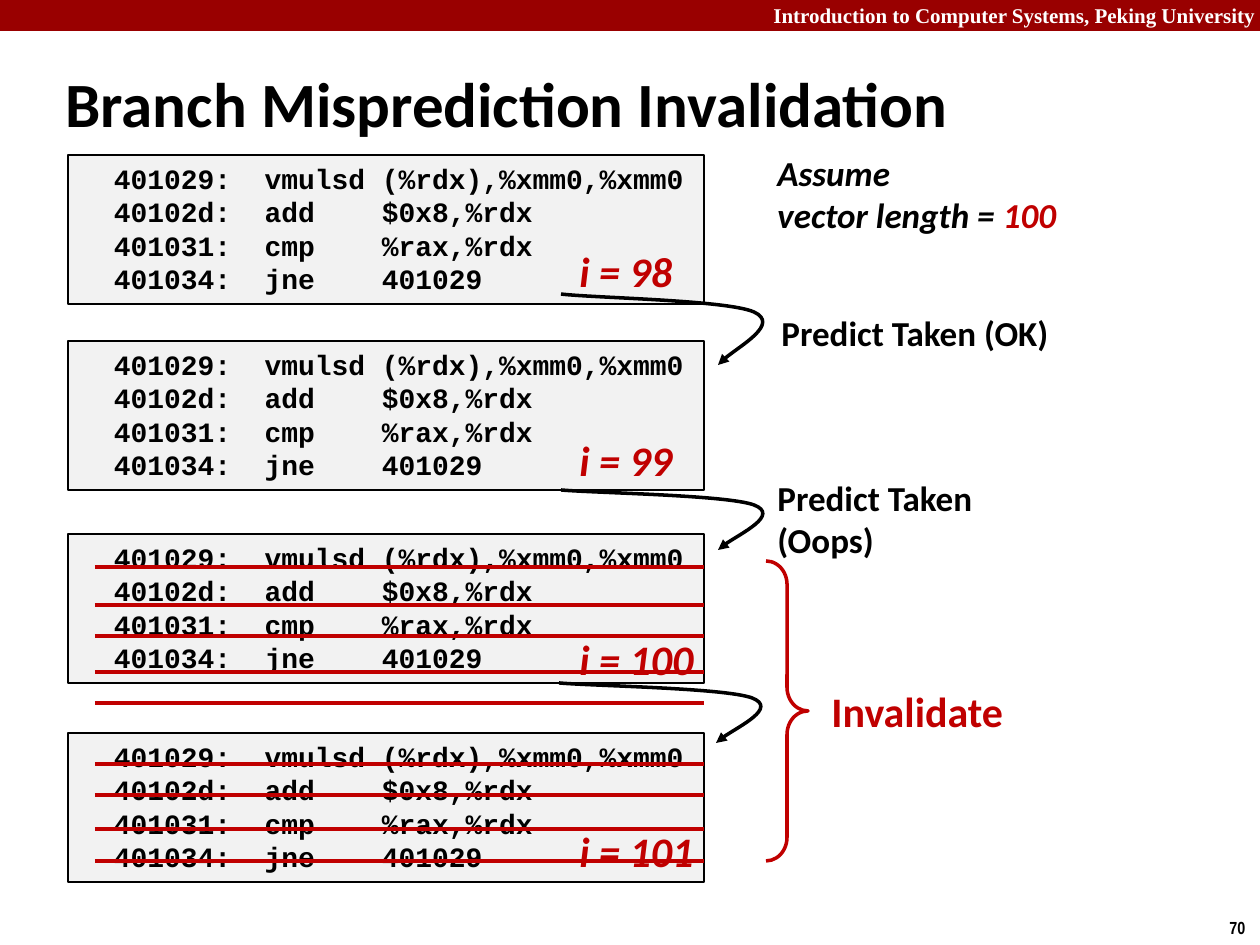
import pptx
import pptx.dml.color
import pptx.enum.shapes
import pptx.enum.text
import pptx.oxml.ns
import pptx.util
from lxml import etree

PX = 7257.14  # EMU in one px (126 px to the inch)
RED, BLACK, WHITE = "C00000", "000000", "FFFFFF"
CODE = (
    "  401029:  vmulsd (%rdx),%xmm0,%xmm0\n"
    "  40102d:  add    $0x8,%rdx\n"
    "  401031:  cmp    %rax,%rdx\n"
    "  401034:  jne    401029"
)
CODE_LEFT, CODE_WIDTH, CODE_HEIGHT = 68, 636, 149
# Each iteration: top of its code, label, top of its label
ITERATIONS = [
    (155, "i = 98", 239),
    (341, "i = 99", 428),
    (534, "i = 100", 627),
    (733, "i = 101", 819),
]
# Each jump to the next iteration: start x, start y, drop
JUMPS = [(561, 294, 71), (561, 490, 60), (559, 683, 60)]
# Start and Bezier points of a jump: px across, share of the drop down
JUMP_CURVE = [(0, 0), (33, 0.05), (166, 0.08), (193, 0.25),
              (219, 0.42), (165, 0.85), (157, 1)]
STRIKE_ROWS = [567, 605, 636, 672, 703, 764, 795, 829, 861]


def px(length):
    return pptx.util.Emu(round(length * PX))


def rgb(value):
    return pptx.dml.color.RGBColor.from_string(value)


def set_text(frame, text, size, color=BLACK, font="Calibri", italic=False):
    frame.text = text
    for paragraph in frame.paragraphs:
        paragraph.alignment = pptx.enum.text.PP_ALIGN.LEFT
        for run in paragraph.runs:
            run.font.size = pptx.util.Pt(size)
            run.font.name = font
            run.font.bold = True
            run.font.italic = italic
            run.font.color.rgb = rgb(color)


def add_label(slide, box, text, size, color=BLACK, **style):
    label = slide.shapes.add_textbox(*map(px, box))
    label.text_frame.word_wrap = False
    set_text(label.text_frame, text, size, color, **style)
    return label.text_frame


def add_box(slide, box, fill, line=None):
    shape = slide.shapes.add_shape(
        pptx.enum.shapes.MSO_SHAPE.RECTANGLE, *map(px, box))
    shape.shadow.inherit = False
    shape.fill.solid()
    shape.fill.fore_color.rgb = rgb(fill)
    if line:
        set_line(shape, line, 0.75)
    else:
        shape.line.fill.background()
    return shape


def set_line(shape, color, width=2):
    shape.line.color.rgb = rgb(color)
    shape.line.width = pptx.util.Pt(width)


def add_code(slide, top):
    listing = add_box(slide, (CODE_LEFT, top, CODE_WIDTH, CODE_HEIGHT),
                      "F2F2F2", BLACK)
    frame = listing.text_frame
    frame.vertical_anchor = pptx.enum.text.MSO_ANCHOR.TOP
    set_text(frame, CODE, 16, font="Courier New")
    for paragraph in frame.paragraphs:
        paragraph.line_spacing = pptx.util.Pt(19.2)


def add_jump(slide, x, y, drop):
    points = [(x + across, y + share * drop) for across, share in JUMP_CURVE]
    builder = slide.shapes.build_freeform(*points[0], scale=PX)
    builder.add_line_segments(points[1:], close=False)
    jump = builder.convert_to_shape()
    jump.shadow.inherit = False
    jump.fill.background()
    set_line(jump, BLACK)

    # Join every three straight segments into one Bezier curve
    qn = pptx.oxml.ns.qn
    segments = list(jump.element.iter(qn("a:lnTo")))
    outline = segments[0].getparent()
    for start in range(0, len(segments), 3):
        curve = etree.SubElement(outline, qn("a:cubicBezTo"))
        for segment in segments[start:start + 3]:
            curve.append(segment[0])
            outline.remove(segment)
    etree.SubElement(jump.line._get_or_add_ln(), qn("a:tailEnd"),
                     type="triangle")


def add_strike(slide, y):
    strike = slide.shapes.add_connector(
        pptx.enum.shapes.MSO_CONNECTOR.STRAIGHT,
        px(95), px(y), px(CODE_LEFT + CODE_WIDTH), px(y))
    set_line(strike, RED)
    etree.SubElement(strike.element.spPr, pptx.oxml.ns.qn("a:effectLst"))


def add_brace(slide, box):
    brace = slide.shapes.add_shape(
        pptx.enum.shapes.MSO_SHAPE.RIGHT_BRACE, *map(px, box))
    brace.shadow.inherit = False
    brace.adjustments[0] = 0.56
    brace.adjustments[1] = 0.5
    brace.fill.background()
    set_line(brace, RED)


def add_title(slide, box, text):
    title = slide.shapes.title
    title.left, title.top, title.width, title.height = map(px, box)
    title.text_frame.vertical_anchor = pptx.enum.text.MSO_ANCHOR.MIDDLE
    set_text(title.text_frame, text, 36)


def main():
    deck = pptx.Presentation()
    deck.slide_width, deck.slide_height = px(1260), px(945)
    slide = deck.slides.add_slide(deck.slide_layouts[5])

    # Header band, title and page number
    add_box(slide, (0, 0, 1260, 31), "990000")
    course = add_label(slide, (756, -4, 512, 38),
                       "Introduction to Computer Systems, Peking University",
                       12, WHITE, font="Times New Roman")
    course.word_wrap = True
    course.paragraphs[0].alignment = pptx.enum.text.PP_ALIGN.RIGHT
    add_title(slide, (53, 63, 1095, 79), "Branch Misprediction Invalidation")
    add_label(slide, (1217, 911, 43, 34), "70", 10, font="Arial Narrow")

    # Loop iterations and the jumps between them
    for code_top, _, _ in ITERATIONS:
        add_code(slide, code_top)
    for jump in JUMPS:
        add_jump(slide, *jump)
    for _, iteration, label_top in ITERATIONS:
        width = 118 if len(iteration) == 6 else 140
        add_label(slide, (567, label_top, width, 63), iteration, 24, RED,
                  italic=True)

    # Assumption and predictions
    assumption = add_label(slide, (765, 145, 306, 97),
                           "Assume\nvector length = ", 20, italic=True)
    length = assumption.paragraphs[1].add_run()
    length.text = "100"
    length.font.size = pptx.util.Pt(20)
    length.font.name = "Calibri"
    length.font.bold = length.font.italic = True
    length.font.color.rgb = rgb(RED)
    add_label(slide, (769, 305, 295, 55), "Predict Taken (OK)", 20)
    add_label(slide, (765, 470, 222, 97), "Predict Taken\n(Oops)", 20)

    # Invalidated instructions
    for y in STRIKE_ROWS:
        add_strike(slide, y)
    add_brace(slide, (766, 561, 42, 300))
    add_label(slide, (819, 679, 199, 63), "Invalidate", 24, RED)

    deck.save("out.pptx")


if __name__ == "__main__":
    main()
